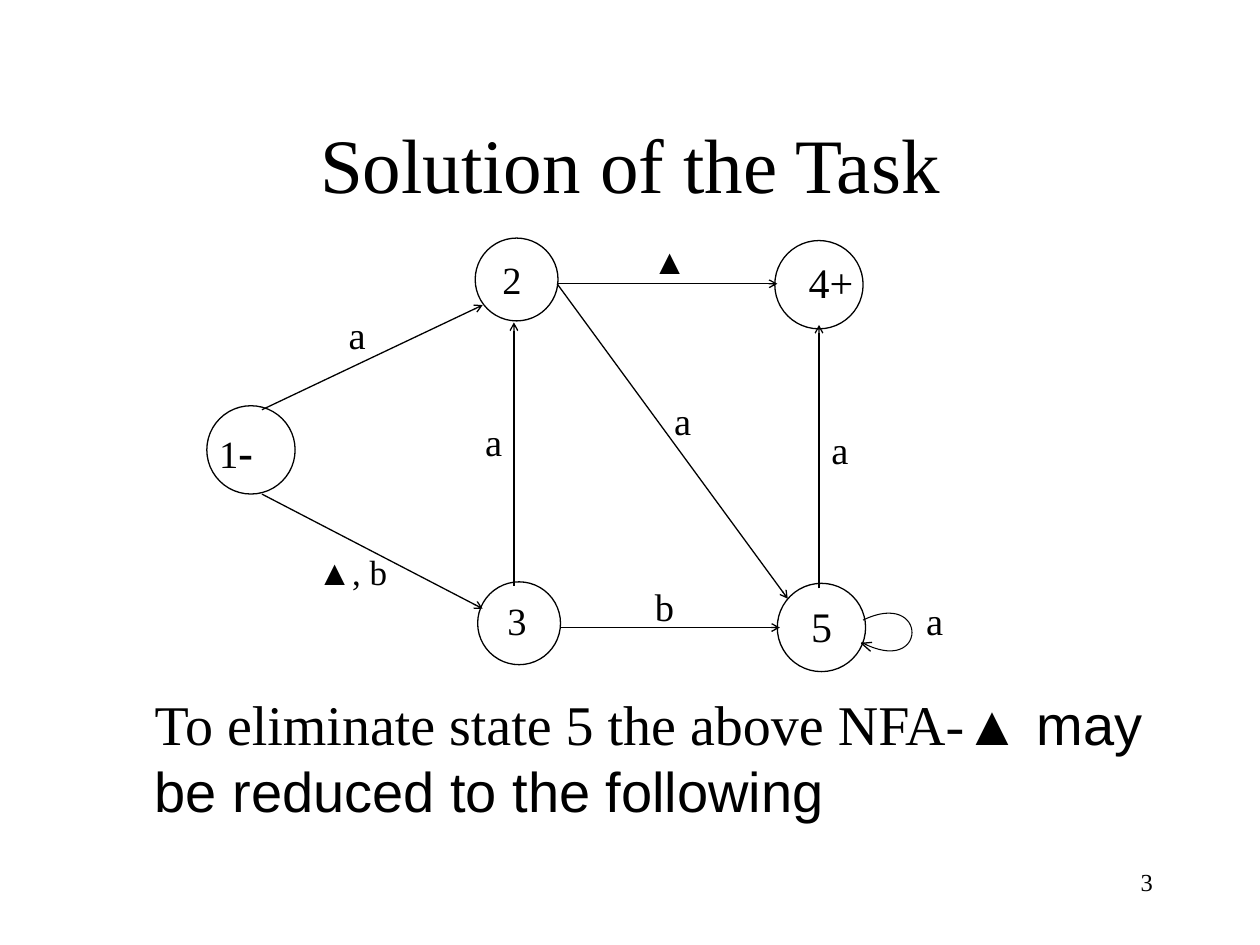
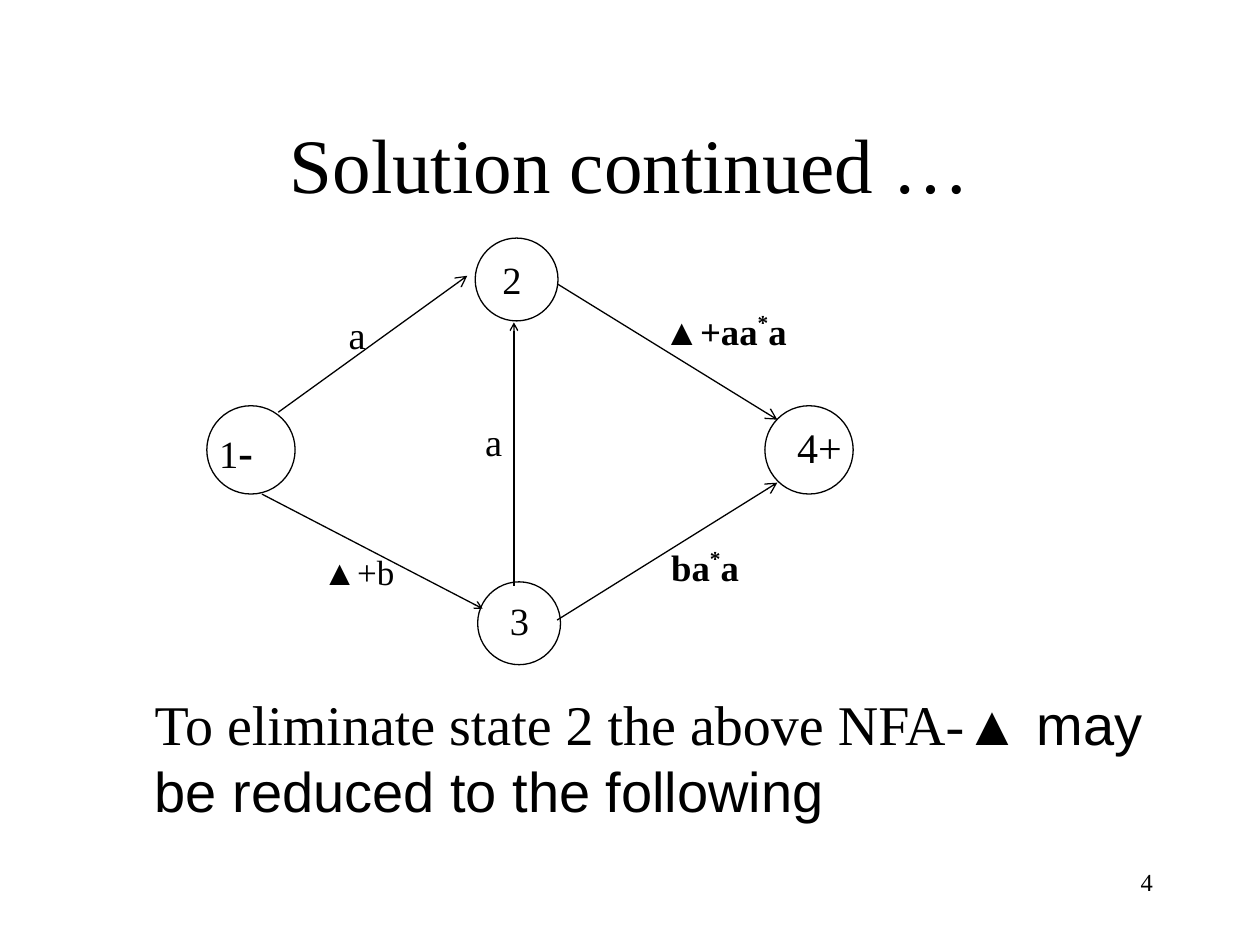
"""Build two slides that reduce a finite automaton by eliminating its states."""
import pptx
import pptx.util
import pptx.dml.color
import pptx.enum.shapes
import pptx.enum.text
import pptx.oxml.ns
from lxml import etree

Cm, Pt = pptx.util.Cm, pptx.util.Pt
ALIGN = pptx.enum.text.PP_ALIGN
ANCHOR = pptx.enum.text.MSO_ANCHOR
COLORS = {"ink": "000000", "paper": "FFFFFF"}
SERIF, SANS = "Times New Roman", "Arial"
SMALL, LARGE = 1.67, 1.78
STAR = ("*", {"raised": 40000})

START = {"at": (4.17, 8.18), "size": LARGE, "inset": (0, 0.25), "points": 22,
         "spans": [("1", {}), ("-", {"points": 25, "bold": True})]}
STATE_2 = {"at": (9.58, 4.8), "size": SMALL, "inset": (0.3, 0.23), "points": 22,
           "spans": [("2", {})]}
STATE_3 = {"at": (9.63, 11.73), "size": SMALL, "inset": (0.35, 0.18), "points": 22,
           "spans": [("3", {})]}
FINAL = {"at": (15.62, 4.85), "size": LARGE, "inset": (0.43, 0.2), "points": 24,
         "spans": [("4+", {})]}
STATE_5 = {"at": (15.67, 11.76), "size": LARGE, "inset": (0.43, 0.23), "points": 24,
           "spans": [("5", {})]}

SHARED_EDGES = [
    ((5.28, 9.96), (9.73, 12.27), "sm"),
    ((10.36, 11.81), (10.36, 6.5), "sm"),
]
SHARED_LABELS = [
    ((6.78, 6.15), 22, False, [("a", {})]),
    ((9.53, 8.31), 22, False, [("a", {})]),
]

SLIDES = [
    {
        "title": "Solution of the Task",
        "number": 3,
        "eliminated": 5,
        "states": [START, STATE_2, STATE_3, FINAL, STATE_5],
        "edges": [
            ((5.28, 8.26), (9.73, 6.15), "sm"),
            ((11.23, 5.72), (15.67, 5.72), "sm"),
            ((11.28, 12.65), (15.72, 12.65), "sm"),
            ((16.51, 11.86), (16.51, 6.55), "sm"),
            ((11.23, 5.72), (15.88, 12.07), "sm"),
        ],
        "labels": [
            ((12.9, 4.7), 20, False, [("▲", {})]),
            ((12.95, 11.63), 22, False, [("b", {})]),
            ((13.34, 7.87), 22, False, [("a", {})]),
            ((16.51, 8.46), 22, False, [("a", {})]),
            ((6.15, 10.97), 20, False, [("▲, b", {})]),
            ((18.42, 11.91), 22, False, [("a", {})]),
        ],
        "loop": {
            "curve": [(17.4, 12.5), (18.72, 11.86), (18.72, 13.67), (17.37, 12.95)],
            "head": [(17.55, 13.13), (17.37, 12.97), (17.58, 12.95)],
        },
    },
    {
        "title": "Solution continued …",
        "number": 4,
        "eliminated": 2,
        "states": [START, STATE_2, {**STATE_3, "inset": (0.4, 0.18)},
                   {**FINAL, "at": (15.42, 8.18), "inset": (0.4, 0.2)}],
        "edges": [
            ((5.61, 8.31), (9.42, 5.56), "med"),
            ((11.23, 5.72), (15.67, 8.46), "med"),
            ((11.23, 12.5), (15.67, 9.73), "med"),
        ],
        "labels": [
            ((6.25, 10.97), 20, False, [("▲+b", {})]),
            ((13.13, 6.1), 21, True, [("▲+aa", {}), STAR, ("a", {})]),
            ((13.28, 10.85), 21, True, [("ba", {}), STAR, ("a", {})]),
        ],
        "loop": None,
    },
]


def color(name):
    return pptx.dml.color.RGBColor.from_string(COLORS[name])


def add_text(page, at, size, spans, points, bold=False, align=ALIGN.LEFT, anchor=ANCHOR.TOP):
    box = page.shapes.add_textbox(*map(Cm, at + size))
    frame = box.text_frame
    frame.word_wrap = True
    frame.vertical_anchor = anchor
    para = frame.paragraphs[0]
    para.alignment = align
    para.font.name, para.font.size, para.font.bold = SERIF, Pt(points), bold
    para.font.color.rgb = color("ink")
    for text, style in spans:
        span = para.add_run()
        span.text = text
        if "points" in style:
            span.font.size = Pt(style["points"])
        if "bold" in style:
            span.font.bold = style["bold"]
        if "font" in style:
            span.font.name = style["font"]
        if "raised" in style:
            span.font._element.set("baseline", str(style["raised"]))


def set_outline(shape, width=0.75):
    shape.line.color.rgb = color("ink")
    shape.line.width = Pt(width)


def add_state(page, state):
    left, top = state["at"]
    size = state["size"]
    circle = page.shapes.add_shape(pptx.enum.shapes.MSO_SHAPE.OVAL,
                                   *map(Cm, (left, top, size, size)))
    circle.shadow.inherit = False
    circle.fill.solid()
    circle.fill.fore_color.rgb = color("paper")
    set_outline(circle)
    across, down = state["inset"]
    add_text(page, (left + across, top + down), (2.1, 1.1), state["spans"], state["points"])


def add_edge(page, start, end, head):
    edge = page.shapes.add_connector(pptx.enum.shapes.MSO_CONNECTOR.STRAIGHT,
                                     *map(Cm, start + end))
    set_outline(edge)
    name = pptx.oxml.ns.qn
    etree.SubElement(edge.line._get_or_add_ln(), name("a:tailEnd"),
                     type="arrow", w=head, len=head)
    etree.SubElement(edge._element.spPr, name("a:effectLst"))


def add_outline(page, points, width):
    corners = [tuple(map(Cm, point)) for point in points]
    builder = page.shapes.build_freeform(*corners[0])
    builder.add_line_segments(corners[1:], close=False)
    outline = builder.convert_to_shape()
    outline.shadow.inherit = False
    outline.fill.background()
    set_outline(outline, width)


def curve_points(controls, steps=32):
    weights = (1, 3, 3, 1)
    for step in range(steps + 1):
        t = step / steps
        factors = [w * (1 - t) ** (3 - i) * t ** i for i, w in enumerate(weights)]
        yield tuple(sum(f * point[axis] for f, point in zip(factors, controls))
                    for axis in (0, 1))


def add_slide(deck, content):
    page = deck.slides.add_slide(deck.slide_layouts[6])
    add_text(page, (18.21, 17.35), (5.28, 1.27), [(str(content["number"]), {})], 14,
             align=ALIGN.RIGHT)
    add_text(page, (1.91, 1.7), (21.59, 3.18), [(content["title"], {})], 44,
             align=ALIGN.CENTER, anchor=ANCHOR.MIDDLE)
    add_text(page, (2.87, 13.78), (20.63, 3.1), [
        (f"To eliminate state {content['eliminated']} the above NFA-▲", {}),
        (" may be reduced to the following", {"font": SANS})], 32)
    for state in content["states"]:
        add_state(page, state)
    for edge in SHARED_EDGES + content["edges"]:
        add_edge(page, *edge)
    if content["loop"]:
        add_outline(page, curve_points(content["loop"]["curve"]), 0.6)
        add_outline(page, content["loop"]["head"], 0.75)
    for at, points, bold, spans in SHARED_LABELS + content["labels"]:
        width = 3.4 if len(spans) > 1 else 2.1 if len(spans[0][0]) > 1 else 1.04
        add_text(page, at, (width, 1.1), spans, points, bold)


def main():
    deck = pptx.Presentation()
    deck.slide_width, deck.slide_height = Cm(25.4), Cm(19.05)
    for content in SLIDES:
        add_slide(deck, content)
    deck.save("out.pptx")


if __name__ == "__main__":
    main()
